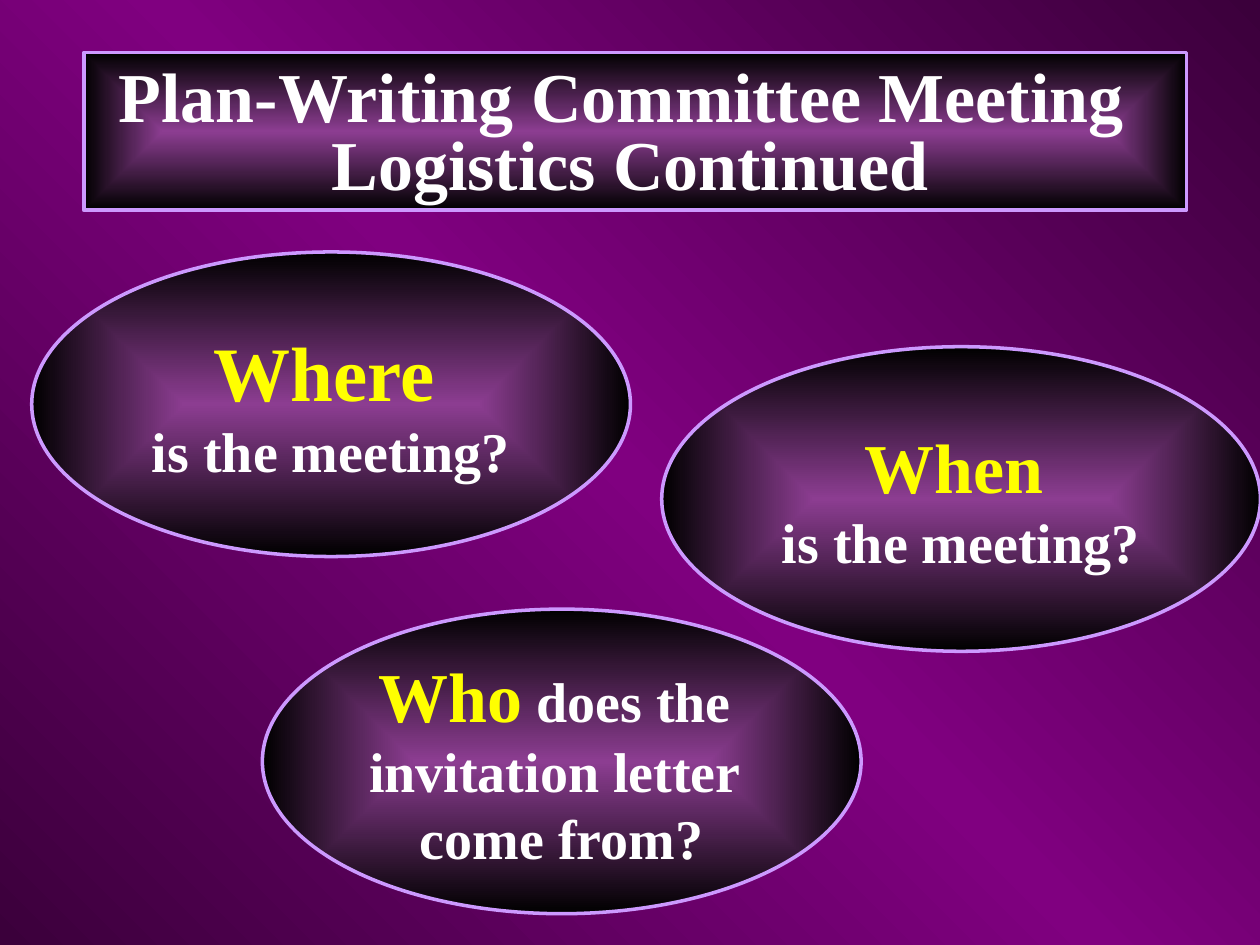
from lxml import etree
from pptx import Presentation
from pptx.dml.color import RGBColor
from pptx.enum.shapes import MSO_SHAPE
from pptx.enum.text import MSO_ANCHOR, PP_ALIGN
from pptx.oxml.ns import nsdecls, qn
from pptx.util import Cm, Pt

RECTANGLE, OVAL = MSO_SHAPE.RECTANGLE, MSO_SHAPE.OVAL
CENTER = PP_ALIGN.CENTER
TOP, MIDDLE = MSO_ANCHOR.TOP, MSO_ANCHOR.MIDDLE

# Content: each paragraph is a list of (text, size, colour) runs
FONT = "Times New Roman"
WHITE, YELLOW, LILAC = "FFFFFF", "FFFF00", "CC99FF"
TITLE = [
    [("Plan-Writing Committee Meeting ", 40, WHITE)],
    [("Logistics Continued", 40, WHITE)],
]
QUESTIONS = [  # left, top in cm, paragraphs
    (0.64, 5.08, [[("Where", 44, YELLOW), (" ", 32, WHITE)],
                  [("is the meeting?", 32, WHITE)]]),
    (13.34, 6.99, [[("When", 40, YELLOW), (" ", 32, WHITE)],
                   [("is the meeting?", 32, WHITE)]]),
    (5.29, 12.28, [[("Who", 40, YELLOW), (" does the ", 32, WHITE)],
                   [("invitation letter ", 32, WHITE)],
                   [("come from?", 32, WHITE)]]),
]
OVAL_WIDTH, OVAL_HEIGHT = 12.07, 6.14
BACKGROUND_STOPS = [(0, "3B003B"), (50, "800080"), (100, "3B003B")]
PANEL_STOPS = [(0, "8C3D91"), (100, "000000")]
DIAGONAL = '<a:lin ang="8100000" scaled="0"/>'
FROM_CENTER = ('<a:path path="rect"><a:fillToRect l="50000" t="50000" '
               'r="50000" b="50000"/></a:path>')


def color(value):
    return RGBColor.from_string(value)


def set_gradient(fill, properties, stops, direction):
    """Swap the solid fill in the properties element for a gradient."""
    fill.solid()
    stop_xml = "".join(
        f'<a:gs pos="{position * 1000}"><a:srgbClr val="{value}"/></a:gs>'
        for position, value in stops)
    gradient = etree.fromstring(
        f'<a:gradFill {nsdecls("a")} rotWithShape="1">'
        f'<a:gsLst>{stop_xml}</a:gsLst>{direction}</a:gradFill>')
    properties.replace(properties.find(qn("a:solidFill")), gradient)


def add_panel(slide, kind, left, top, width, height):
    shape = slide.shapes.add_shape(kind, Cm(left), Cm(top), Cm(width), Cm(height))
    shape.shadow.inherit = False
    set_gradient(shape.fill, shape.element.spPr, PANEL_STOPS, FROM_CENTER)
    shape.line.color.rgb = color(LILAC)
    shape.line.width = Pt(2)
    return shape


def write_text(shape, paragraphs, anchor=MIDDLE, wrap=False, line_spacing=None):
    frame = shape.text_frame
    frame.word_wrap = wrap
    frame.vertical_anchor = anchor
    for index, runs in enumerate(paragraphs):
        paragraph = frame.add_paragraph() if index else frame.paragraphs[0]
        paragraph.alignment = CENTER
        paragraph.line_spacing = line_spacing
        for text, size, value in runs:
            run = paragraph.add_run()
            run.text = text
            run.font.name = FONT
            run.font.size = Pt(size)
            run.font.bold = True
            run.font.color.rgb = color(value)


def main():
    presentation = Presentation()
    presentation.slide_width, presentation.slide_height = Cm(25.4), Cm(19.05)
    slide = presentation.slides.add_slide(presentation.slide_layouts[6])

    # Background
    background_fill = slide.background.fill
    background_fill.solid()
    properties = slide.element.find(".//" + qn("p:bgPr"))
    set_gradient(background_fill, properties, BACKGROUND_STOPS, DIAGONAL)

    # Title panel with its text across the full slide width
    add_panel(slide, RECTANGLE, 1.69, 1.06, 22.23, 3.18)
    title = slide.shapes.add_textbox(0, Cm(1.27), Cm(25.4), Cm(2.96))
    write_text(title, TITLE, anchor=TOP, wrap=True, line_spacing=0.8)

    # Question ovals
    for left, top, paragraphs in QUESTIONS:
        oval = add_panel(slide, OVAL, left, top, OVAL_WIDTH, OVAL_HEIGHT)
        write_text(oval, paragraphs)

    presentation.save("out.pptx")


if __name__ == "__main__":
    main()
